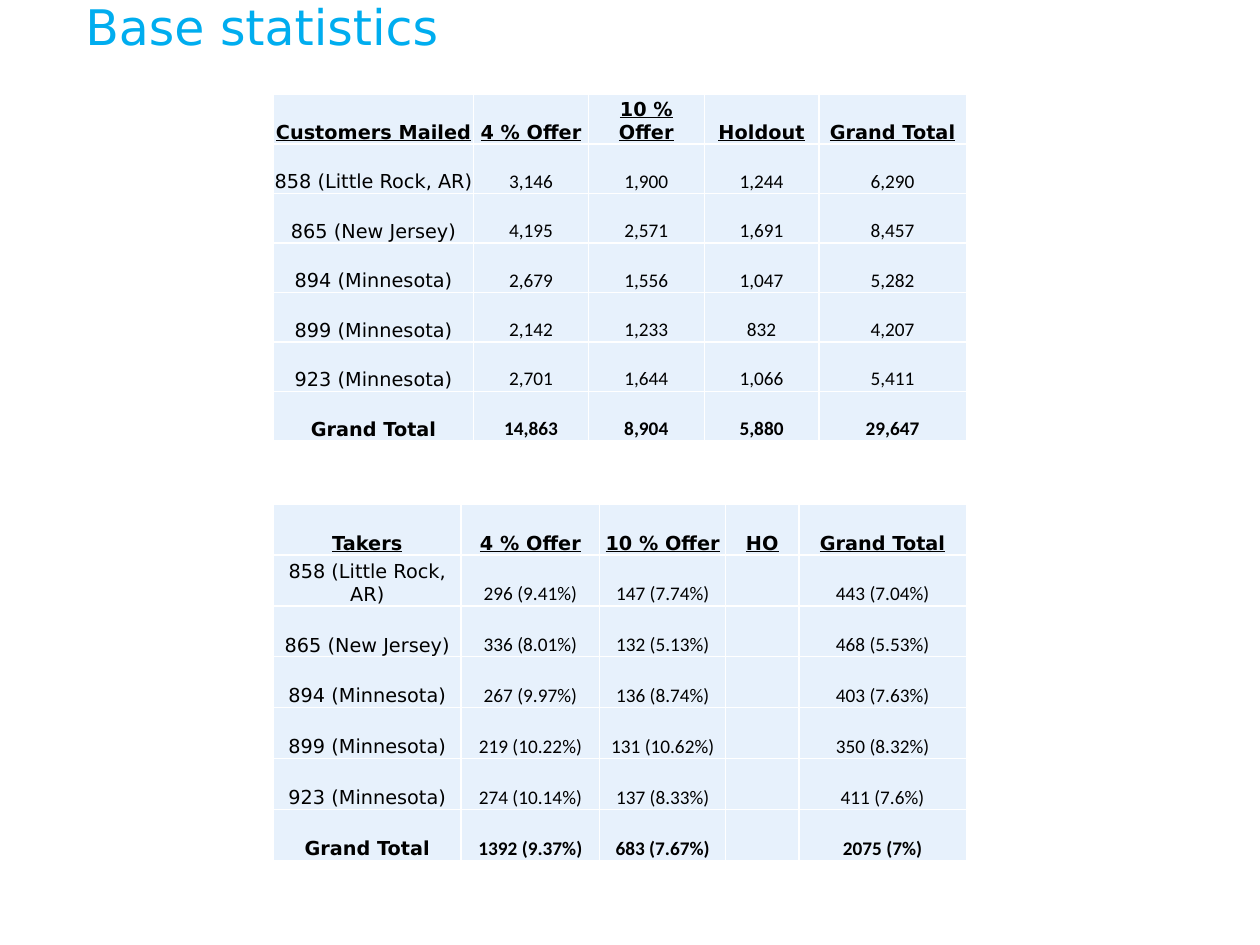
from dataclasses import dataclass

from lxml.etree import SubElement
from pptx import Presentation
from pptx.dml.color import RGBColor
from pptx.enum.text import MSO_ANCHOR as Anchor, PP_ALIGN as Align
from pptx.oxml.ns import qn
from pptx.util import Inches, Pt

COLORS = {"title": "00ADEF", "text": "000000", "cell": "E7F1FC", "border": "FFFFFF"}
LABEL_FONT, NUMBER_FONT = "DejaVu Sans", "Calibri"
CELL_FORMAT = {
    "vertical_anchor": Anchor.BOTTOM,
    "margin_left": Inches(0.01),
    "margin_right": Inches(0.01),
    "margin_top": Inches(0.01),
    "margin_bottom": Inches(0),
}
REGIONS = ["858 (Little Rock, AR)", "865 (New Jersey)", "894 (Minnesota)",
           "899 (Minnesota)", "923 (Minnesota)", "Grand Total"]


@dataclass
class StatTable:
    top: float
    height: float
    widths: list[float]
    header: list[str]
    figures: list[list[str]]  # one list per region

    def rows(self) -> list[list[str]]:
        return [self.header] + [[region, *row] for region, row in zip(REGIONS, self.figures)]


MAILED = StatTable(
    0.75, 2.75, [1.59, 0.91, 0.92, 0.91, 1.17],
    ["Customers Mailed ", "4 % Offer", "10 % Offer", "Holdout", "Grand Total"],
    [
        ["3,146", "1,900", "1,244", "6,290"],
        ["4,195", "2,571", "1,691", "8,457"],
        ["2,679", "1,556", "1,047", "5,282"],
        ["2,142", "1,233", "832", "4,207"],
        ["2,701", "1,644", "1,066", "5,411"],
        ["14,863", "8,904", "5,880", "29,647"],
    ],
)
TAKERS = StatTable(
    4, 2.83, [1.49, 1.1, 1, 0.58, 1.33],
    ["Takers", "4 % Offer", "10 % Offer", "HO", "Grand Total"],
    [
        ["296 (9.41%)", "147 (7.74%)", "", "443 (7.04%)"],
        ["336 (8.01%)", "132 (5.13%)", "", "468 (5.53%)"],
        ["267 (9.97%)", "136 (8.74%)", "", "403 (7.63%)"],
        ["219 (10.22%)", "131 (10.62%)", "", "350 (8.32%)"],
        ["274 (10.14%)", "137 (8.33%)", "", "411 (7.6%)"],
        ["1392 (9.37%)", "683 (7.67%)", "", "2075 (7%)"],
    ],
)


def write(paragraph, text: str, color: str, **font_format) -> None:
    run = paragraph.add_run()
    run.text = text
    run.font.color.rgb = RGBColor.from_string(COLORS[color])
    for name, value in font_format.items():
        setattr(run.font, name, value)


def style_cell(cell) -> None:
    for name, value in CELL_FORMAT.items():
        setattr(cell, name, value)
    # Borders come before the fill in the cell properties
    properties = cell._tc.get_or_add_tcPr()
    for side in ("a:lnL", "a:lnR", "a:lnT", "a:lnB"):
        border = SubElement(properties, qn(side), w=str(Pt(1)))
        SubElement(SubElement(border, qn("a:solidFill")), qn("a:srgbClr"), val=COLORS["border"])
    cell.fill.solid()
    cell.fill.fore_color.rgb = RGBColor.from_string(COLORS["cell"])


def draw_table(slide, stats: StatTable) -> None:
    rows = stats.rows()
    table = slide.shapes.add_table(
        len(rows), len(stats.widths), Inches(2.17), Inches(stats.top),
        Inches(sum(stats.widths)), Inches(stats.height)).table
    table.first_row = table.horz_banding = False
    for column, width in zip(table.columns, stats.widths):
        column.width = Inches(width)
    last = len(rows) - 1
    for r, row in enumerate(rows):
        for c, text in enumerate(row):
            cell = table.cell(r, c)
            style_cell(cell)
            paragraph = cell.text_frame.paragraphs[0]
            paragraph.alignment = Align.CENTER
            if text:
                write(paragraph, text, "text", size=Pt(11), bold=r in (0, last), underline=r == 0,
                      name=LABEL_FONT if r == 0 or c == 0 else NUMBER_FONT)


def draw_title(slide, text: str) -> None:
    title = slide.shapes.add_textbox(Inches(0.58), Inches(-0.08), Inches(9), Inches(0.78))
    frame = title.text_frame
    frame.word_wrap = True
    frame.vertical_anchor = Anchor.TOP
    write(frame.paragraphs[0], text, "title", size=Pt(28), name=LABEL_FONT)


def main() -> None:
    deck = Presentation()
    deck.slide_width, deck.slide_height = Inches(10), Inches(7.5)
    slide = deck.slides.add_slide(deck.slide_layouts[6])
    for stats in (MAILED, TAKERS):
        draw_table(slide, stats)
    draw_title(slide, "Base statistics")
    deck.save("out.pptx")


if __name__ == "__main__":
    main()
